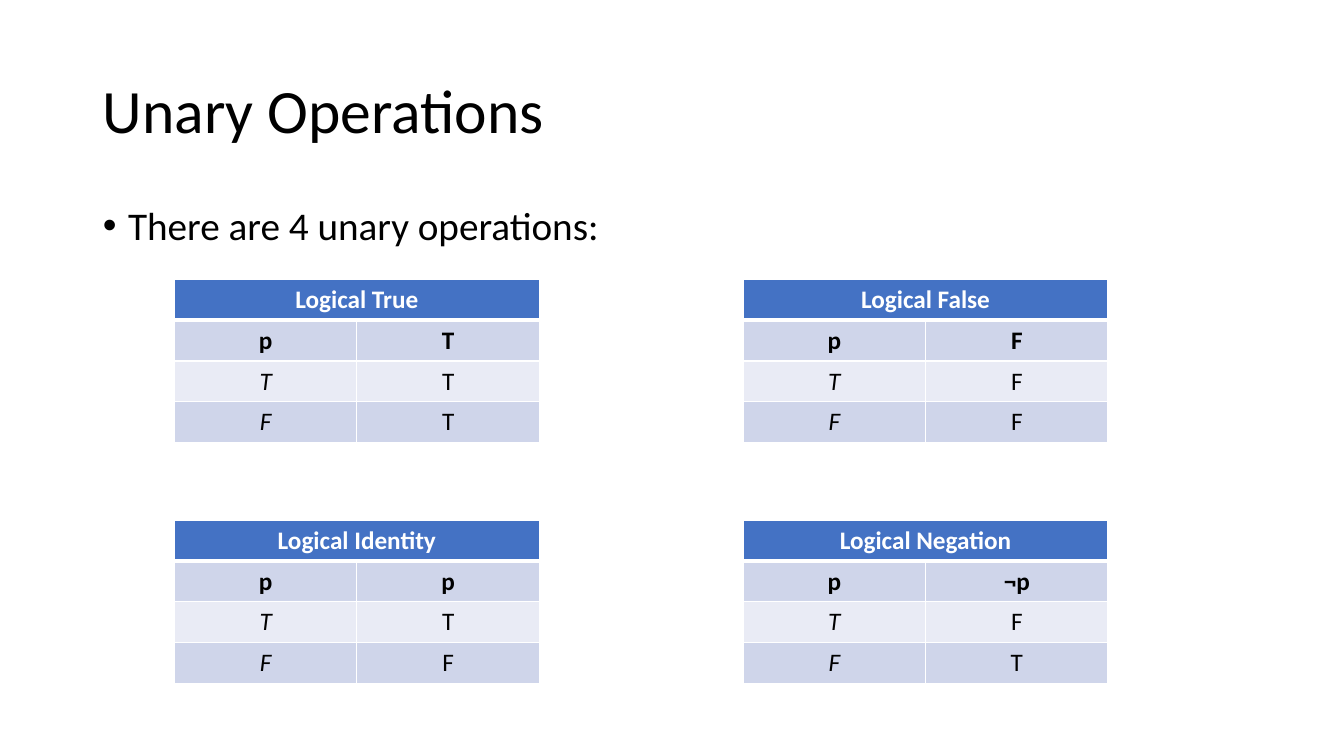
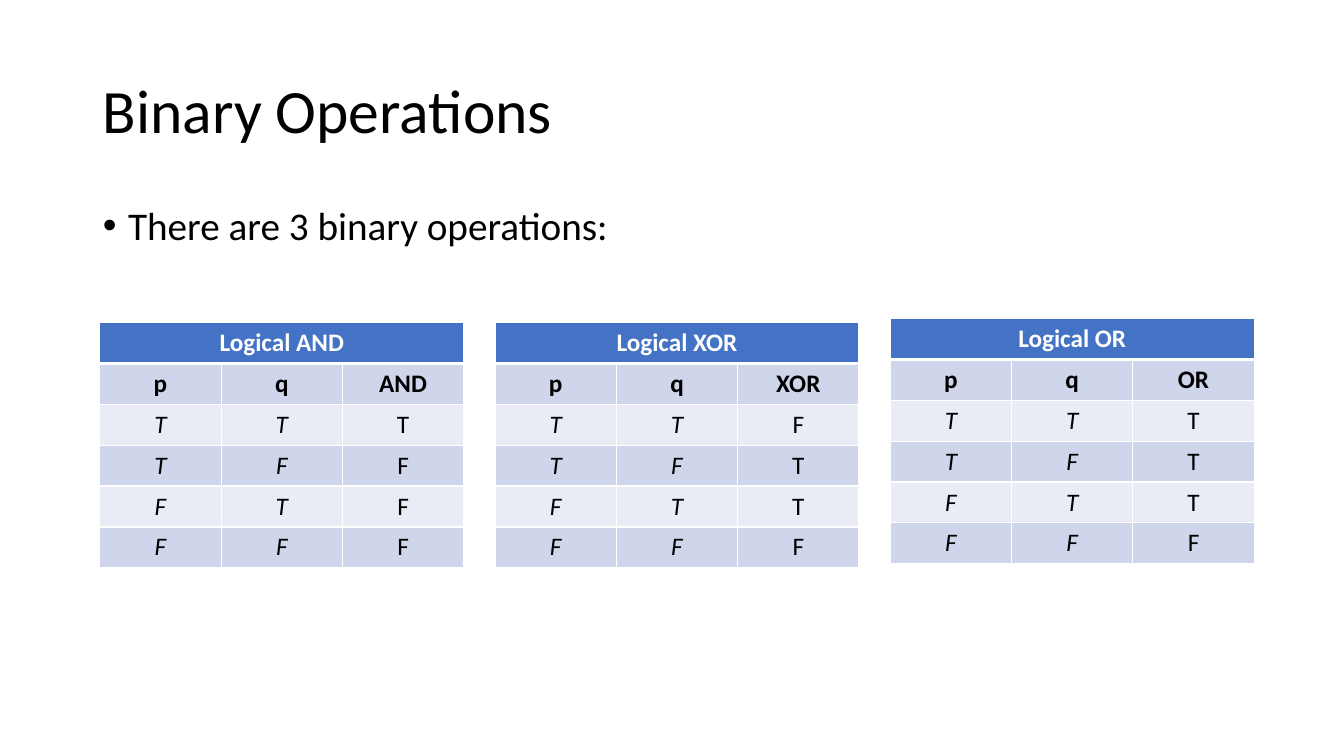
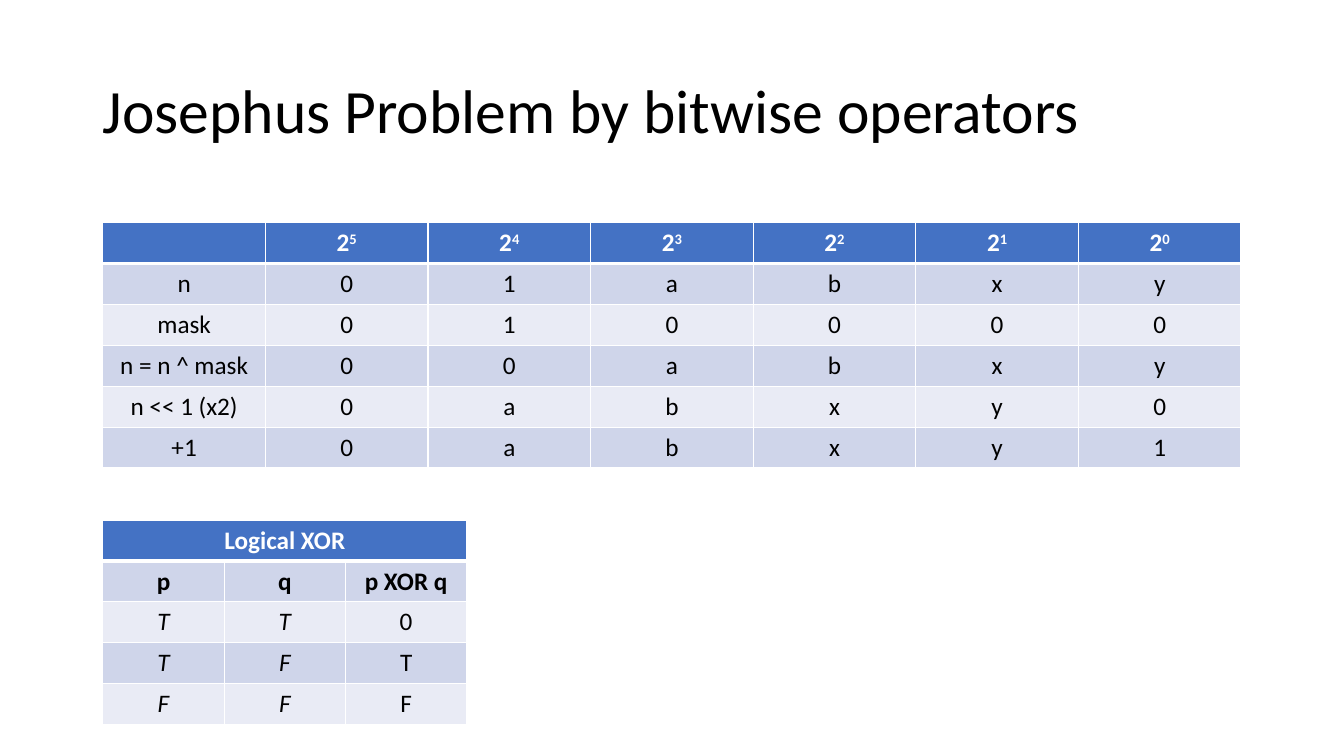
from itertools import product

from lxml.etree import SubElement
from pptx import Presentation
from pptx.dml.color import RGBColor
from pptx.enum.text import MSO_ANCHOR, MSO_AUTO_SIZE, PP_ALIGN
from pptx.oxml.ns import qn
from pptx.util import Inches, Pt

# Shared look
FONT = "Calibri"
BLACK = RGBColor(0x00, 0x00, 0x00)
WHITE = RGBColor(0xFF, 0xFF, 0xFF)
HEADER_BLUE = RGBColor(0x44, 0x72, 0xC4)
BANDS = (RGBColor(0xE9, 0xEB, 0xF5), RGBColor(0xCF, 0xD5, 0xEA))
TITLE_BOX = (0.92, 0.4, 11.5, 1.45)
BODY_BOX = (0.92, 2, 11.5, 4.76)
ROW_HEIGHT = 2.43 / 6
UNARY_WIDTH = 3.62
BINARY_WIDTH = 3.61
THIN, THICK = Pt(1), Pt(3)

TITLE_ONLY, TITLE_AND_BODY = 5, 1
HEADER = {"bold": True, "italic": False, "color": WHITE}
LABEL = {"bold": True, "italic": False, "color": BLACK}
INPUT = {"bold": False, "italic": True, "color": BLACK}
PLAIN = {"bold": False, "italic": False, "color": BLACK}


# Text
def format_font(font, size, color=BLACK, **style):
    for name, value in {"name": FONT, "size": Pt(size), **style}.items():
        setattr(font, name, value)
    font.color.rgb = color


def fill_placeholder(placeholder, box, text, size, anchor):
    for side, length in zip(("left", "top", "width", "height"), box):
        setattr(placeholder, side, Inches(length))
    frame = placeholder.text_frame
    frame.text = text
    frame.auto_size = MSO_AUTO_SIZE.NONE
    frame.vertical_anchor = anchor
    paragraph = frame.paragraphs[0]
    paragraph.alignment = PP_ALIGN.LEFT
    paragraph.line_spacing = 0.9
    format_font(paragraph.runs[0].font, size)
    return paragraph


def add_slide(prs, title, bullet=None):
    layout = TITLE_AND_BODY if bullet else TITLE_ONLY
    slide = prs.slides.add_slide(prs.slide_layouts[layout])
    fill_placeholder(slide.shapes.title, TITLE_BOX, title, 44, MSO_ANCHOR.MIDDLE)
    if bullet:
        item = fill_placeholder(slide.placeholders[1], BODY_BOX, bullet, 28,
                                MSO_ANCHOR.TOP)
        item.space_before = Pt(10)
        properties = item._p.get_or_add_pPr()
        properties.set("marL", str(Inches(0.25)))
        properties.set("indent", str(Inches(-0.25)))
        SubElement(properties, qn("a:buFont")).set("typeface", "Arial")
        SubElement(properties, qn("a:buChar")).set("char", "•")
    return slide


# Tables
def set_borders(cell, top, bottom):
    properties = cell._tc.get_or_add_tcPr()
    widths = {"a:lnL": THIN, "a:lnR": THIN, "a:lnT": top, "a:lnB": bottom}
    for position, (tag, width) in enumerate(widths.items()):
        line = SubElement(properties, qn(tag))
        line.set("w", str(width))
        color = SubElement(SubElement(line, qn("a:solidFill")), qn("a:srgbClr"))
        color.set("val", str(WHITE))
        properties.insert(position, line)


def fill_cell(cell, content, row, style):
    """Content is a string, or a (base, exponent) pair."""
    base, exponent = content if isinstance(content, tuple) else (content, "")
    paragraph = cell.text_frame.paragraphs[0]
    paragraph.alignment = PP_ALIGN.CENTER
    for text, baseline in ((base, 0), (exponent, 30000)):
        if text:
            run = paragraph.add_run()
            run.text = text
            format_font(run.font, 18, **style)
            if baseline:
                run._r.get_or_add_rPr().set("baseline", str(baseline))
    cell.fill.solid()
    cell.fill.fore_color.rgb = BANDS[row % 2] if row else HEADER_BLUE
    set_borders(cell, top=THICK if row == 1 else THIN,
                bottom=THIN if row else THICK)


def add_grid(slide, left, top, width, rows, style_of):
    columns = len(rows[-1])
    table = slide.shapes.add_table(
        len(rows), columns, Inches(left), Inches(top), Inches(width),
        Inches(ROW_HEIGHT * len(rows))).table
    for r, row in enumerate(rows):
        for c, content in enumerate(row):
            fill_cell(table.cell(r, c), content, r, style_of(r, c))
    return table


def add_truth_table(slide, left, top, width, name, labels, cases):
    last = len(labels) - 1

    def style_of(row, column):
        if row < 2:
            return (HEADER, LABEL)[row]
        return PLAIN if column == last else INPUT

    rows = [[name] + [""] * last, labels, *cases]
    table = add_grid(slide, left, top, width, rows, style_of)
    table.cell(0, 0).merge(table.cell(0, last))


def all_cases(results, inputs):
    return [(*values, result)
            for values, result in zip(product("TF", repeat=inputs), results)]


# Slides
def unary_slide(prs):
    slide = add_slide(prs, "Unary Operations", "There are 4 unary operations:")
    operations = (("True", "T", "TT"), ("False", "F", "FF"),
                  ("Identity", "p", "TF"), ("Negation", "¬p", "FT"))
    places = product((2.77, 5.16), (1.73, 7.37))
    for (top, left), (name, label, results) in zip(places, operations):
        add_truth_table(slide, left, top, UNARY_WIDTH, f"Logical {name}",
                        ["p", label], all_cases(results, 1))


def binary_slide(prs):
    slide = add_slide(prs, "Binary Operations", "There are 3 binary operations:")
    operations = (("AND", "TFFF", 3.2), ("XOR", "FTTF", 3.2), ("OR", "TTTF", 3.16))
    for index, (name, results, top) in enumerate(operations):
        add_truth_table(slide, 0.99 + 3.92 * index, top, BINARY_WIDTH,
                        f"Logical {name}", ["p", "q", name],
                        all_cases(results, 2))


def josephus_slide(prs):
    slide = add_slide(prs, "Josephus Problem by bitwise operators")
    steps = (("n", "01abxy"), ("mask", "010000"), ("n = n ^ mask", "00abxy"),
             ("n << 1 (x2)", "0abxy0"), ("+1", "0abxy1"))
    powers = ["", *(("2", power) for power in "543210")]
    add_grid(slide, 1.02, 2.21, 11.29,
             [powers, *([step, *bits] for step, bits in steps)],
             lambda row, column: PLAIN if row else HEADER)
    add_truth_table(slide, 1.02, 5.16, BINARY_WIDTH, "Logical XOR",
                    ["p", "q", "p XOR q"], ["TT0", "TFT", "FFF"])


def main():
    prs = Presentation()
    prs.slide_width, prs.slide_height = Inches(13.33), Inches(7.5)
    unary_slide(prs)
    binary_slide(prs)
    josephus_slide(prs)
    prs.save("out.pptx")


if __name__ == "__main__":
    main()
